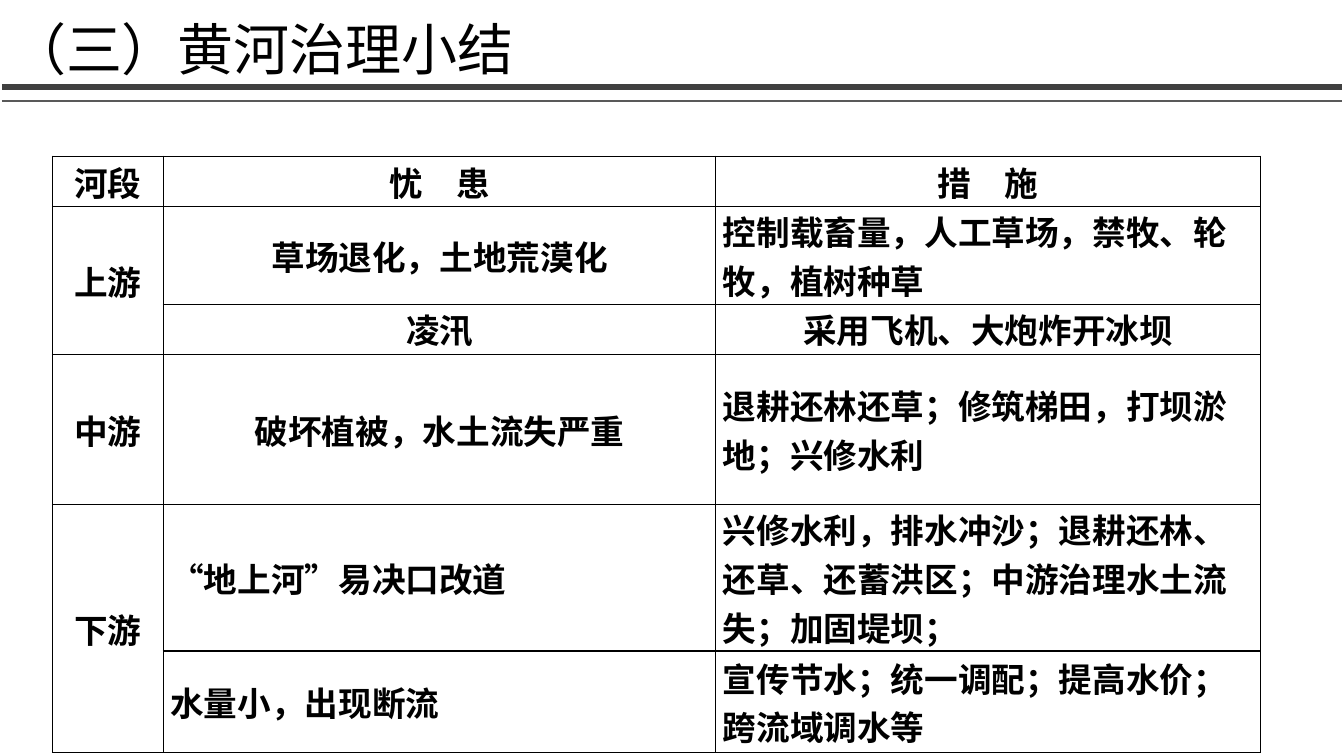
from lxml import etree
from pptx import Presentation
from pptx.dml.color import RGBColor
from pptx.enum import shapes, text
from pptx.oxml import ns
from pptx.util import Inches, Pt

BLACK = RGBColor(0x00, 0x00, 0x00)
DARK_GREY = RGBColor(0x40, 0x40, 0x40)
MID_GREY = RGBColor(0x59, 0x59, 0x59)
SANS, SERIF, ARIAL = "Noto Sans CJK SC", "Times New Roman", "Arial"
CENTER, LEFT = text.PP_ALIGN.CENTER, text.PP_ALIGN.LEFT

# Content: each cell is (alignment, runs), each run is (text, font)
TITLE = "（三）黄河治理小结"
ROWS = [
    [(CENTER, [("河段", SANS)]), (CENTER, [("忧　患", SANS)]), (CENTER, [("措　施", SANS)])],
    [(CENTER, [("上游", SANS)]),
     (CENTER, [("草场退化，土地荒漠化", SERIF)]),
     (LEFT, [("控制载畜量，人工草场，禁牧、轮牧，植树种草", SANS)])],
    [None,
     (CENTER, [("凌汛", SANS)]),
     (CENTER, [("采用飞机、大炮炸开冰坝", SANS)])],
    [(CENTER, [("中游", SANS)]),
     (CENTER, [("破坏植被，水土流失严重", SERIF)]),
     (LEFT, [("退耕还林还草；修筑梯田，打坝淤地；兴修水利", SANS)])],
    [(CENTER, [("下游", SANS)]),
     (LEFT, [("“", ARIAL), ("地上河", SERIF), ("”", SANS), ("易决口改道", SERIF)]),
     (LEFT, [("兴修水利，排水冲沙；退耕还林、还草、还蓄洪区；中游治理水土流失；加固堤坝；", SANS)])],
    [None,
     (LEFT, [("水量小，出现断流", SERIF)]),
     (LEFT, [("宣传节水；统一调配；提高水价；跨流域调水等", SANS)])],
]
COLUMN_WIDTHS = [1.1, 5.48, 5.4]
ROW_HEIGHTS = [0.5, 0.5, 0.5, 1.49, 0.99, 1.01]
RULES = [(1, MID_GREY, 1.5), (0.86, DARK_GREY, 4.5)]  # y, colour, width


def set_typeface(font, name):
    """Latin face as named; Chinese glyphs always in the sans face."""
    font.name = name
    east_asian = etree.SubElement(font._element, ns.qn("a:ea"))
    east_asian.set("typeface", SANS)


def add_borders(cell):
    properties = cell._tc.get_or_add_tcPr()
    for side in ("lnL", "lnR", "lnT", "lnB"):
        line = etree.SubElement(properties, ns.qn("a:" + side), w=str(Pt(1)))
        fill = etree.SubElement(line, ns.qn("a:solidFill"))
        etree.SubElement(fill, ns.qn("a:srgbClr"), val=str(BLACK))


def fill_cell(cell, alignment, runs):
    paragraph = cell.text_frame.paragraphs[0]
    paragraph.alignment = alignment
    paragraph.font.size = Pt(24)
    paragraph.font.bold = True
    paragraph.font.color.rgb = BLACK
    if len(runs) == 1:
        set_typeface(paragraph.font, runs[0][1])
    for words, face in runs:
        run = paragraph.add_run()
        run.text = words
        if len(runs) > 1:
            set_typeface(run.font, face)


presentation = Presentation()
presentation.slide_width = Inches(13.33)
presentation.slide_height = Inches(7.5)
slide = presentation.slides.add_slide(presentation.slide_layouts[5])

# Title
title = slide.shapes.title
title.left, title.top = Inches(0), Inches(0.09)
title.width, title.height = Inches(12.1), Inches(0.77)
frame = title.text_frame
frame.text = TITLE
frame.word_wrap = True
frame.auto_size = text.MSO_AUTO_SIZE.NONE
frame.vertical_anchor = text.MSO_ANCHOR.MIDDLE
paragraph = frame.paragraphs[0]
paragraph.alignment = LEFT
paragraph.font.size = Pt(40)
paragraph.font.color.rgb = BLACK
set_typeface(paragraph.font, SANS)

# Double rule under the title
for y, colour, width in RULES:
    rule = slide.shapes.add_connector(
        shapes.MSO_CONNECTOR.STRAIGHT, Inches(0.02), Inches(y), Inches(13.31), Inches(y))
    rule.line.color.rgb = colour
    rule.line.width = Pt(width)
    etree.SubElement(rule._element.spPr, ns.qn("a:effectLst"))

# Table of river sections, problems and measures
table = slide.shapes.add_table(
    len(ROWS), len(COLUMN_WIDTHS), Inches(0.52), Inches(1.55),
    Inches(sum(COLUMN_WIDTHS)), Inches(sum(ROW_HEIGHTS))).table
table.first_row = table.horz_banding = False
for column, width in zip(table.columns, COLUMN_WIDTHS):
    column.width = Inches(width)
for row, height in zip(table.rows, ROW_HEIGHTS):
    row.height = Inches(height)

for r, row in enumerate(ROWS):
    for c, content in enumerate(row):
        cell = table.cell(r, c)
        cell.margin_left = cell.margin_right = Inches(0.07)
        cell.margin_top = cell.margin_bottom = 0
        cell.vertical_anchor = text.MSO_ANCHOR.MIDDLE
        add_borders(cell)
        cell.fill.background()
        if content:
            fill_cell(cell, *content)
        else:
            table.cell(r - 1, c).merge(cell)

presentation.save("out.pptx")
